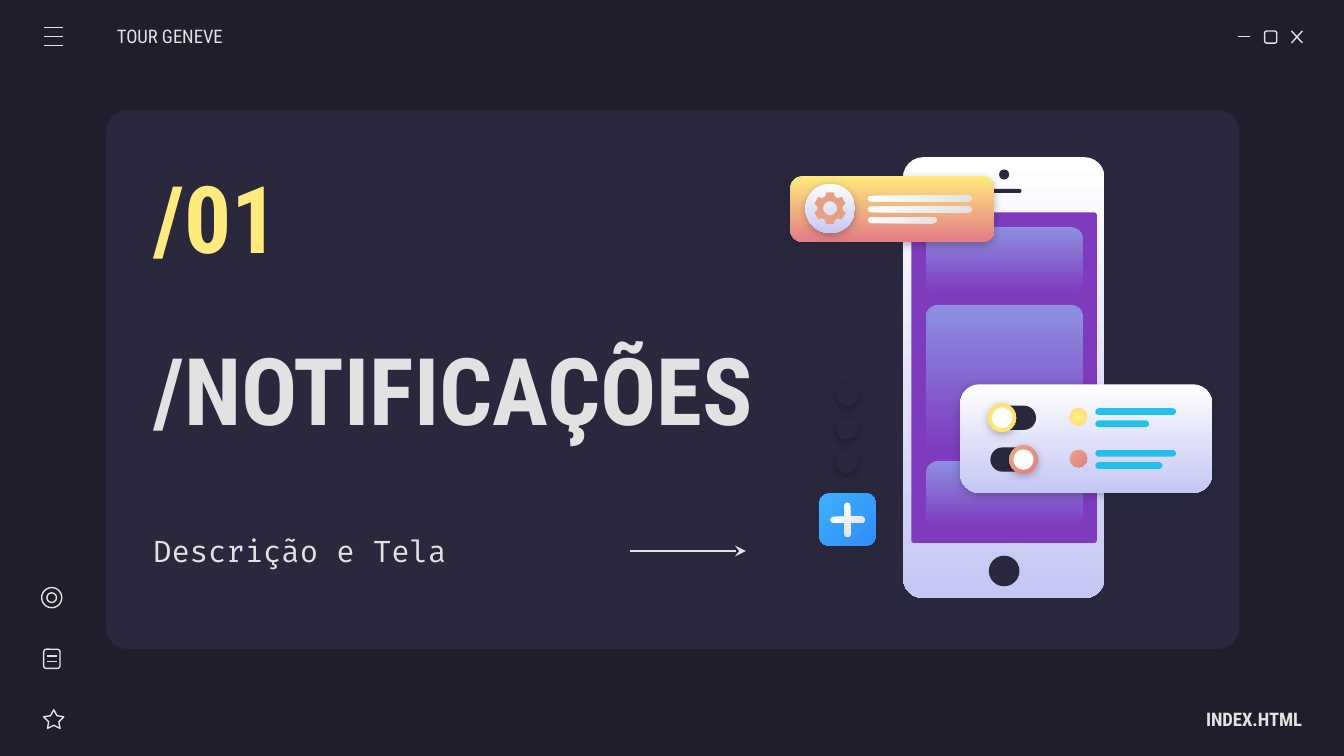
import math

import pptx
import pptx.dml.color
import pptx.enum.shapes
import pptx.enum.text
import pptx.oxml
import pptx.oxml.ns
import pptx.util

LIGHT, CARD, DARK = "E2E2E2", "29283D", "1E1E2C"
YELLOW, PURPLE, CYAN = "FFEA7D", "7E3BBE", "24BFEB"
SILVER = ("FFFFFF", "C5C7F4", 90)
PANEL = ("8D90E1", PURPLE, 90)
SUNSET = (YELLOW, "E57C85", 90)
GLOSS = ("FFFFFF", LIGHT, 45)
GOLD = ("FFF68E", "FFD966", None)
CORAL = ("E9A984", "E57C85", 45)
BLUE = ("3DB0FD", "308EF7", 45)
CONDENSED, CODE = "Roboto Condensed", "Fira Code"
SHAPE = pptx.enum.shapes.MSO_SHAPE
ALIGN = pptx.enum.text.PP_ALIGN
NAMESPACE = pptx.oxml.ns.nsdecls("a")


def color(value):
    return pptx.dml.color.RGBColor.from_string(value)


def element(xml):
    return pptx.oxml.parse_xml(xml)


class Painter:
    def __init__(self, slide, line_width=0.75, inset=7.2):
        self.slide = slide
        self.line_width = line_width
        self.inset = inset

    def place(self, shape, left, top, width, height):
        shape.left, shape.top = pptx.util.Pt(left), pptx.util.Pt(top)
        shape.width, shape.height = pptx.util.Pt(width), pptx.util.Pt(height)

    def paint(self, shape, fill, outline=None, shadow=None):
        if fill is None:
            shape.fill.background()
        elif isinstance(fill, str):
            shape.fill.solid()
            shape.fill.fore_color.rgb = color(fill)
        else:
            self.gradient(shape, *fill)
        if outline:
            shape.line.color.rgb = color(outline)
            shape.line.width = pptx.util.Pt(self.line_width)
        else:
            shape.line.fill.background()
        shape.shadow.inherit = False
        if shadow:
            effects = shape._element.spPr.find(pptx.oxml.ns.qn("a:effectLst"))
            effects.append(element(
                f'<a:outerShdw {NAMESPACE} blurRad="{pptx.util.Pt(4.5)}" dist="{pptx.util.Pt(1.5)}" '
                f'dir="5400000" algn="bl" rotWithShape="0"><a:srgbClr val="{shadow}">'
                '<a:alpha val="30000"/></a:srgbClr></a:outerShdw>'))

    def gradient(self, shape, first, last, angle):
        shape.fill.gradient()
        for stop, value, position in zip(shape.fill.gradient_stops, (first, last), (0, 1)):
            stop.color.rgb = color(value)
            stop.position = position
        if angle is not None:
            shape.fill.gradient_angle = 360 - angle
            return
        linear = shape._element.spPr.find(".//" + pptx.oxml.ns.qn("a:lin"))
        linear.getparent().replace(linear, element(
            f'<a:path {NAMESPACE} path="circle"><a:fillToRect l="50000" t="50000" '
            'r="50000" b="50000"/></a:path>'))

    def shape(self, kind, box, fill=None, adjust=None, outline=None, shadow=None, rotation=0):
        shape = self.slide.shapes.add_shape(kind, 0, 0, 0, 0)
        self.place(shape, *box)
        if adjust is not None:
            shape.adjustments[0] = adjust
        shape.rotation = rotation
        self.paint(shape, fill, outline, shadow)

    def rounded(self, box, fill=None, adjust=0.5, **style):
        self.shape(SHAPE.ROUNDED_RECTANGLE, box, fill, adjust, **style)

    def circle(self, left, top, size, fill=None, **style):
        self.shape(SHAPE.OVAL, (left, top, size, size), fill, **style)

    def line(self, x1, y1, x2, y2, arrow=False):
        points = [pptx.util.Pt(value) for value in (x1, y1, x2, y2)]
        connector = self.slide.shapes.add_connector(
            pptx.enum.shapes.MSO_CONNECTOR.STRAIGHT, *points)
        connector.line.color.rgb = color(LIGHT)
        connector.line.width = pptx.util.Pt(self.line_width)
        if arrow:
            connector.line._get_or_add_ln().append(
                element(f'<a:tailEnd {NAMESPACE} type="stealth"/>'))
        connector._element.spPr.append(element(f"<a:effectLst {NAMESPACE}/>"))

    def gear(self, x, y, outer, root, hole, fill, teeth=6):
        def point(radius, degrees):
            angle = math.radians(degrees)
            return (pptx.util.Pt(x + radius * math.sin(angle)),
                    pptx.util.Pt(y - radius * math.cos(angle)))

        profile = ((root, -22), (outer, -14), (outer, 14), (root, 22))
        rim = [point(radius, tooth * 360 / teeth + offset)
               for tooth in range(teeth) for radius, offset in profile]
        bore = [point(hole, -degrees) for degrees in range(0, 360, 15)]
        builder = self.slide.shapes.build_freeform(*rim[0])
        builder.add_line_segments(rim[1:], close=True)
        builder.move_to(*bore[0])
        builder.add_line_segments(bore[1:], close=True)
        self.paint(builder.convert_to_shape(), fill)

    def text(self, index, box, text, size, font=CONDENSED, fill=LIGHT, bold=False,
             align=ALIGN.LEFT, left=None, right=None):
        shape = self.slide.placeholders[index]
        self.slide.shapes._spTree.append(shape._element)
        self.place(shape, *box)
        frame = shape.text_frame
        frame.word_wrap = True
        frame.auto_size = pptx.enum.text.MSO_AUTO_SIZE.NONE
        frame.vertical_anchor = pptx.enum.text.MSO_ANCHOR.MIDDLE
        frame.margin_left = pptx.util.Pt(self.inset if left is None else left)
        frame.margin_right = pptx.util.Pt(self.inset if right is None else right)
        frame.margin_top = frame.margin_bottom = pptx.util.Pt(self.inset)
        paragraph = frame.paragraphs[0]
        paragraph.alignment = align
        paragraph.space_before = pptx.util.Pt(0)
        properties = paragraph._p.get_or_add_pPr()
        properties.set("marL", "0")
        properties.set("indent", "0")
        properties.append(element(f"<a:buNone {NAMESPACE}/>"))
        run = paragraph.add_run()
        run.text = text
        run.font.size = pptx.util.Pt(size)
        run.font.name = font
        run.font.bold = bold
        run.font.color.rgb = color(fill)


def draw_window(painter):
    painter.rounded((56.9, 59, 607, 288.7), CARD, 0.04)
    painter.line(663.1, 19.4, 669.6, 19.4)
    painter.rounded((677.5, 16.6, 6.5, 6.5), adjust=0.167, outline=LIGHT)
    painter.line(691.9, 16.6, 697.7, 23)
    painter.line(697.7, 16.6, 691.9, 23)
    for row in range(3):
        painter.line(23.8, 14.7 + 4.9 * row, 33.8, 14.7 + 4.9 * row)
    painter.shape(SHAPE.STAR_5_POINT, (23.4, 380.2, 10.8, 10.1), adjust=0.254, outline=LIGHT)
    painter.rounded((23.4, 347.8, 8.8, 10.3), adjust=0.167, outline=LIGHT)
    for y in (351.5, 354.3):
        painter.line(25.2, y, 30.4, y)
    painter.circle(22.3, 314.8, 10.8, outline=LIGHT)
    painter.circle(25.1, 317.6, 5.2, outline=LIGHT)


def draw_texts(painter):
    painter.text(1, (62.6, 8.6, 84.2, 21.6), "TOUR GENEVE", 10, left=0)
    painter.text(2, (613.4, 374.4, 84.2, 21.6), "INDEX.HTML", 10, bold=True,
                 align=ALIGN.RIGHT, right=0)
    painter.text(0, (74.9, 149, 337.7, 118.1), "/NOTIFICAÇÕES", 50, bold=True)
    painter.text(3, (74.9, 82.8, 128.2, 66.2), "/01", 50, fill=YELLOW, bold=True)
    painter.text(4, (74.9, 267.1, 287.3, 56.2), "Descrição e Tela", 16, CODE)
    painter.line(337.7, 295.2, 399.6, 295.2, arrow=True)


def draw_phone(painter):
    painter.rounded((483.8, 84.2, 108, 236.2), SILVER, 0.1)
    painter.rounded((488.2, 113.8, 99.4, 177.1), PURPLE, 0.015)
    for top, height, adjust in ((121.7, 35.3, 0.187), (163.4, 78.5, 0.079), (247, 35.3, 0.187)):
        painter.rounded((496.1, top, 84.2, height), PANEL, adjust)
    painter.circle(535.2, 90.8, 5.4, CARD)
    painter.rounded((529.2, 101.2, 18, 2.2), CARD)
    painter.circle(529.7, 297.7, 16.4, CARD)


def draw_banner(painter):
    painter.rounded((423.4, 94.3, 109.4, 35.3), SUNSET, 0.187, shadow=DARK)
    painter.circle(431.5, 98.4, 26.5, SILVER, shadow=DARK)
    painter.gear(444.7, 111.6, 8.7, 6.8, 3.7, "E5A083")
    for row, width in enumerate((55.4, 55.4, 36.7)):
        painter.rounded((465, 104.8 + 5.75 * row, width, 3.2), GLOSS)


def draw_settings(painter):
    painter.rounded((514.4, 205.9, 135, 58.1), SILVER, 0.175, shadow=DARK)
    for row, (accent, knob, width) in enumerate(((GOLD, 529.2, 28.8), (CORAL, 540.7, 36))):
        y = 216.2 + 22.4 * row
        painter.rounded((530.6, y + 1.1, 24.5, 13), CARD)
        painter.circle(knob, y, 15.2, accent, shadow=DARK)
        painter.circle(knob + 2.2, y + 2.2, 10.8, "FFFFFF")
        painter.circle(573.1, y + 2.5, 9.3, accent)
        painter.rounded((586.8, y + 2.5, 43.2, 3.6), CYAN)
        painter.rounded((586.8, y + 9, width, 3.6), CYAN)


def draw_add_button(painter):
    painter.rounded((438.8, 264.2, 30.4, 28.2), BLUE, 0.183, shadow=DARK)
    for rotation in (0, 90):
        painter.rounded((444.8, 276.8, 18.4, 3.2), GLOSS, rotation=rotation)
    for row in range(3):
        painter.circle(448, 205.7 + 18 * row, 11.7, CARD, shadow="000000")


def main():
    presentation = pptx.Presentation()
    presentation.slide_width = pptx.util.Pt(720)
    presentation.slide_height = pptx.util.Pt(405)
    slide = presentation.slides.add_slide(presentation.slide_layouts[4])
    slide.background.fill.solid()
    slide.background.fill.fore_color.rgb = color(DARK)
    painter = Painter(slide)
    for draw in (draw_window, draw_texts, draw_phone, draw_banner, draw_settings, draw_add_button):
        draw(painter)
    presentation.save("out.pptx")


if __name__ == "__main__":
    main()
